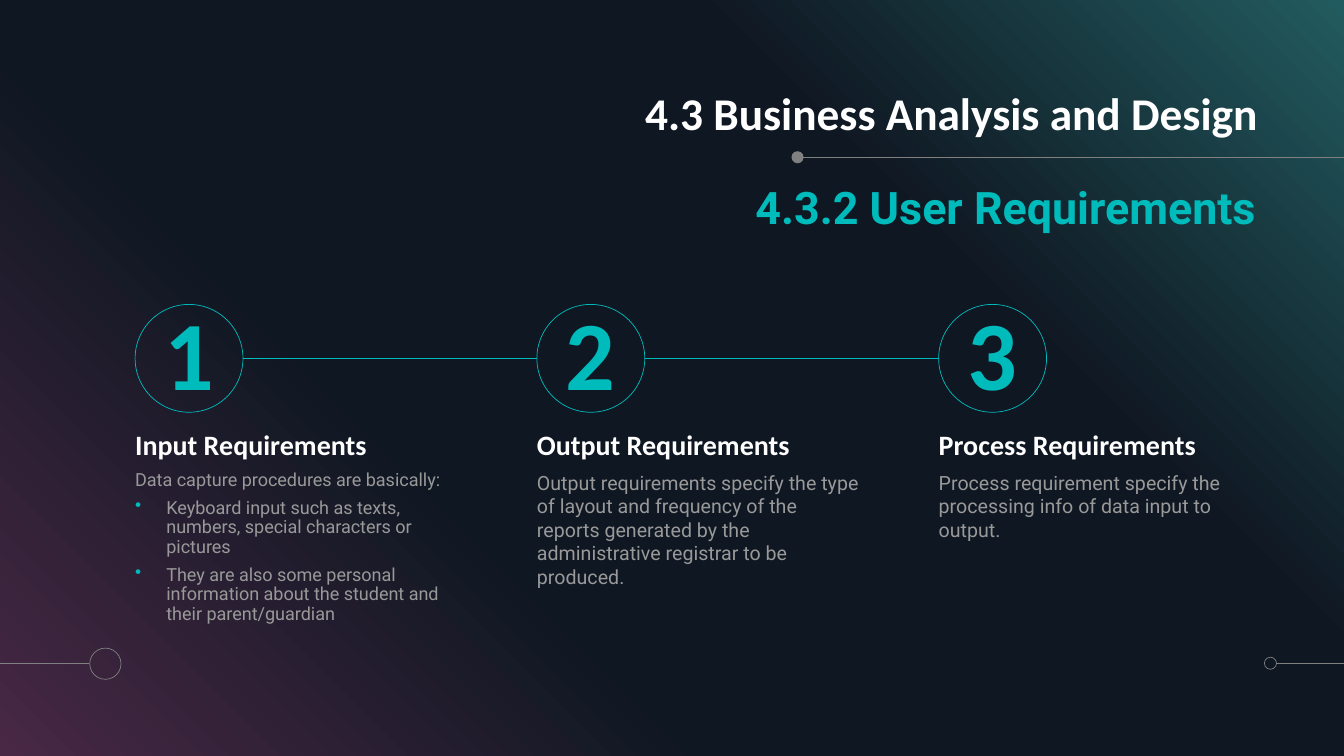
from lxml import etree
from pptx import Presentation, util as u
from pptx.dml.color import RGBColor
from pptx.enum import shapes, text
from pptx.oxml.ns import qn

WIDTH, HEIGHT = 13.33, 7.5
TEAL, GRAY, LIGHT_GRAY, WHITE = "00BBBB", "808080", "999999", "FFFFFF"
FIRST_COLUMN, LAST_COLUMN = 1.34, 9.31
PITCH = (LAST_COLUMN - FIRST_COLUMN) / 2
COLUMN_WIDTH = 3.22
RING_TOP, RING_SIZE = 3.02, 1.07
RING_MIDDLE = RING_TOP + RING_SIZE / 2
LEFT, RIGHT, CENTER = text.PP_ALIGN.LEFT, text.PP_ALIGN.RIGHT, text.PP_ALIGN.CENTER
TOP, MIDDLE, BOTTOM = text.MSO_ANCHOR.TOP, text.MSO_ANCHOR.MIDDLE, text.MSO_ANCHOR.BOTTOM
rgb = RGBColor.from_string


def inches(*lengths):
    return [u.Inches(length) for length in lengths]


def write(shape, lines, size, font, color, bold=False, align=LEFT, anchor=TOP, spacing=None):
    """Fill a shape with paragraphs; every line after the first is a bullet."""
    frame = shape.text_frame
    frame.word_wrap = True
    frame.vertical_anchor = anchor
    frame.margin_left = frame.margin_top = frame.margin_right = frame.margin_bottom = 0
    for index, line in enumerate(lines):
        paragraph = frame.add_paragraph() if index else frame.paragraphs[0]
        paragraph.text = line
        paragraph.alignment = align
        if spacing:
            paragraph.line_spacing = spacing
        if index:
            paragraph.space_before = u.Pt(6)
            properties = paragraph._p.get_or_add_pPr()
            properties.set("marL", str(u.Inches(0.31)))
            properties.set("indent", str(-u.Inches(0.31)))
            bullet_color = etree.SubElement(properties, qn("a:buClr"))
            etree.SubElement(bullet_color, qn("a:srgbClr"), val=TEAL)
            etree.SubElement(properties, qn("a:buChar"), char="•")
        paragraph.font.size = u.Pt(size)
        paragraph.font.name = font
        paragraph.font.bold = bold
        paragraph.font.color.rgb = rgb(color)


presentation = Presentation()
presentation.slide_width, presentation.slide_height = inches(WIDTH, HEIGHT)
slide = presentation.slides.add_slide(presentation.slide_layouts[6])
slide.background.fill.solid()
slide.background.fill.fore_color.rgb = rgb("000000")

# Diagonal gradient backdrop
backdrop = slide.shapes.add_shape(shapes.MSO_SHAPE.RECTANGLE, *inches(0, 0, WIDTH, HEIGHT))
backdrop.shadow.inherit = False
backdrop.line.fill.background()
backdrop.fill.gradient()
backdrop.fill.gradient_angle = 45
stops = backdrop._element.spPr.find(qn("a:gradFill")).find(qn("a:gsLst"))
for stop in list(stops):
    stops.remove(stop)
for percent, color in [(0, "482845"), (34, "0F1722"), (69, "0F1722"), (100, "225B5F")]:
    stop = etree.SubElement(stops, qn("a:gs"), pos=str(percent * 1000))
    etree.SubElement(stop, qn("a:srgbClr"), val=color)

# Decorative lines and the links between the numbered rings
columns = [FIRST_COLUMN + PITCH * index for index in range(3)]
lines = [
    (WIDTH, 1.56, 7.94, 1.56, GRAY),
    (12.66, 6.58, WIDTH, 6.58, GRAY),
    (0, 6.58, 0.88, 6.58, GRAY),
]
for start, end in zip(columns, columns[1:]):
    lines.append((start + RING_SIZE, RING_MIDDLE, end, RING_MIDDLE, TEAL))
for *ends, color in lines:
    connector = slide.shapes.add_connector(shapes.MSO_CONNECTOR.STRAIGHT, *inches(*ends))
    connector.line.color.rgb = rgb(color)
    connector.line.width = u.Pt(0.5)
    etree.SubElement(connector._element.spPr, qn("a:effectLst"))

# Dots and rings
circles = [
    (7.85, 1.5, 0.12, GRAY, ""),
    (12.54, 6.52, 0.12, GRAY, ""),
    (0.89, 6.43, 0.31, GRAY, ""),
]
for number, column in enumerate(columns, 1):
    circles.append((column, RING_TOP, RING_SIZE, TEAL, str(number)))
for index, (left, top, size, color, label) in enumerate(circles):
    circle = slide.shapes.add_shape(shapes.MSO_SHAPE.OVAL, *inches(left, top, size, size))
    circle.shadow.inherit = False
    if index == 0:
        circle.fill.solid()
        circle.fill.fore_color.rgb = rgb(color)
        circle.line.fill.background()
    else:
        circle.fill.background()
        circle.line.color.rgb = rgb(color)
        circle.line.width = u.Pt(0.5)
    if label:
        write(circle, [label], 70, "Calibri", TEAL, True, CENTER, MIDDLE, 0.9)

# Headings
title = slide.shapes.add_textbox(*inches(5.58, 0.77, 6.9, 0.62))
write(title, ["4.3 Business Analysis and Design"], 32.4, "Calibri", WHITE, True, RIGHT, BOTTOM, 0.9)
subtitle = slide.shapes.add_textbox(*inches(5.58, 1.78, 6.88, 0.62))
write(subtitle, ["4.3.2 User Requirements"], 32, "Roboto", TEAL, True, RIGHT)

# Requirement columns
requirements = [
    ("Input Requirements", 12.9, 0.9, [
        "Data capture procedures are basically:",
        "Keyboard input such as texts, numbers, special characters or pictures",
        "They are also some personal information about the student and their parent/guardian",
    ]),
    ("Output Requirements", 14, None, [
        "Output requirements specify the type of layout and frequency of the reports "
        "generated by the administrative registrar to be produced.",
    ]),
    ("Process Requirements", 14, None, [
        "Process requirement specify the processing info of data input to output.",
    ]),
]
for column, (name, size, spacing, details) in zip(columns, requirements):
    heading = slide.shapes.add_textbox(*inches(column, 4.22, COLUMN_WIDTH, 0.36))
    write(heading, [name], 20, "Calibri", WHITE, True, LEFT, BOTTOM, 0.9)
    body = slide.shapes.add_textbox(*inches(column, 4.67, COLUMN_WIDTH, 1.55))
    write(body, details, size, "Roboto", LIGHT_GRAY, spacing=spacing)

presentation.save("out.pptx")
